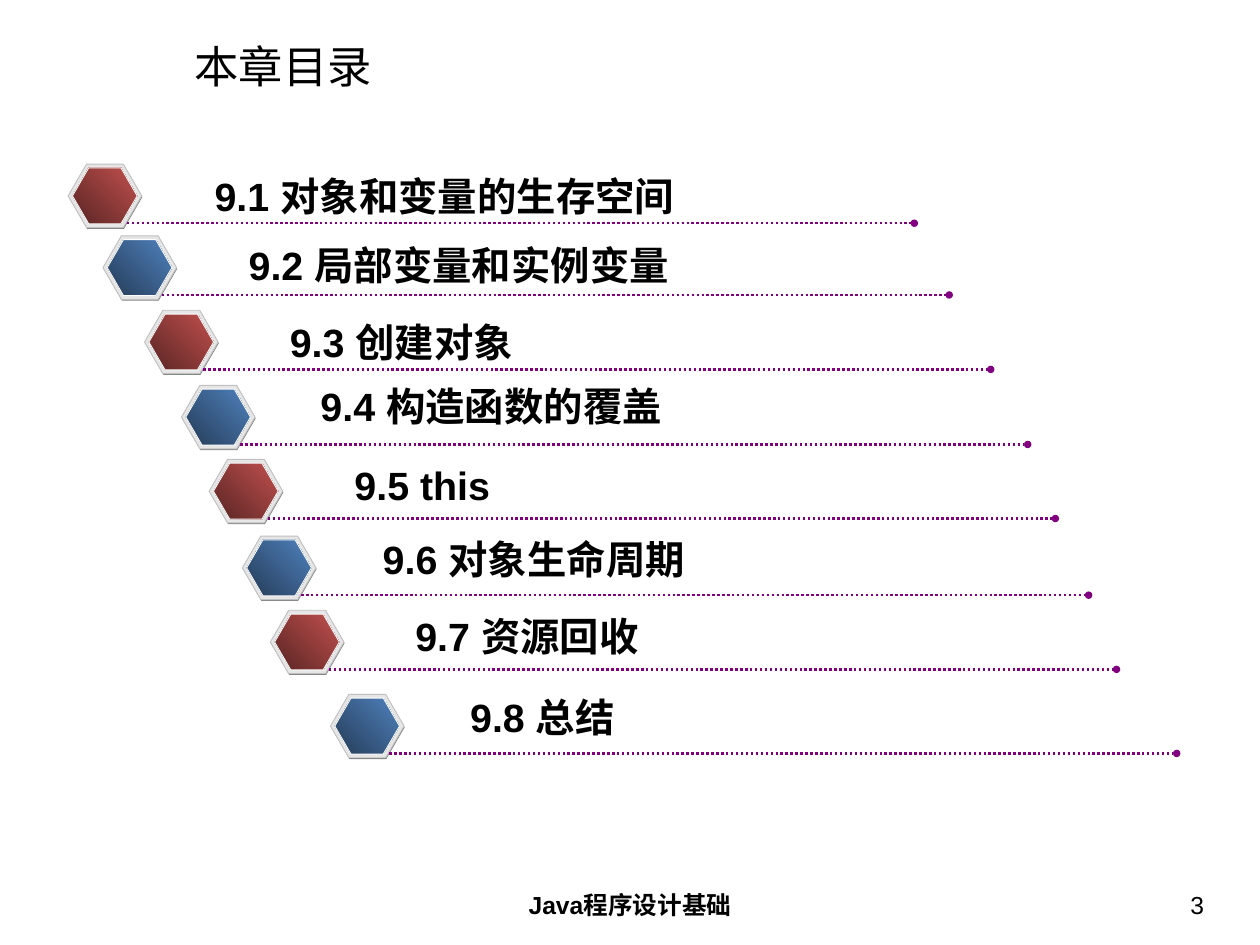
from dataclasses import dataclass
from itertools import cycle

from lxml.etree import SubElement
from pptx import Presentation
from pptx.dml.color import RGBColor
from pptx.enum.dml import MSO_LINE
from pptx.enum.shapes import MSO_CONNECTOR, MSO_SHAPE
from pptx.enum.text import MSO_ANCHOR, MSO_AUTO_SIZE, PP_ALIGN
from pptx.oxml.ns import qn
from pptx.util import Pt


@dataclass(frozen=True)
class Theme:
    """Colours and type sizes of the slide."""
    font: str = "Arial"
    ink: str = "000000"
    shade: str = "808080"
    rim: str = "E6E6E6"
    edge: str = "C0C0C0"
    white: str = "FFFFFF"
    rule: str = "800080"
    red: tuple = ("592524", "C0504D")
    blue: tuple = ("253C57", "4F81BD")
    title: int = 36
    label: int = 32
    foot: int = 20


THEME = Theme()

TOPICS = [
    ("9.1 对象和变量的生存空间", (55.4, 133.4), (167.3, 136), 400),
    ("9.2 局部变量和实例变量", (83.7, 191.7), (195, 192.7), 368),
    ("9.3 创建对象", (117.5, 252.2), (228.5, 255), 208),
    ("9.4 构造函数的覆盖", (147.5, 313.2), (253.4, 306.7), 304),
    ("9.5 this", (170, 373.4), (281, 370.8), 128),
    ("9.6 对象生命周期", (197, 435.7), (304, 431.3), 272),
    ("9.7 资源回收", (219.7, 496), (330.5, 494), 208),
    ("9.8 总结", (268.6, 564.3), (375, 559.4), 144),
]


def colour(code):
    """Turn a hex code into a colour."""
    return RGBColor.from_string(code)


def style(frame, text, size, bold=False, align=PP_ALIGN.LEFT):
    """Write one line of text and format it."""
    frame.text = text
    line = frame.paragraphs[0]
    line.alignment = align
    for run in line.runs:
        run.font.name = THEME.font
        run.font.size = Pt(size)
        run.font.bold = bold
        run.font.color.rgb = colour(THEME.ink)


def inset(frame, side, top):
    """Set the inner margins of a text frame."""
    frame.margin_left = frame.margin_right = Pt(side)
    frame.margin_top = frame.margin_bottom = Pt(top)


def add_title(slide, text):
    """Place and format the title."""
    title = slide.shapes.title
    title.left, title.top = Pt(148), Pt(33)
    title.width, title.height = Pt(851.8), Pt(41)
    frame = title.text_frame
    frame.auto_size = MSO_AUTO_SIZE.NONE
    frame.vertical_anchor = MSO_ANCHOR.MIDDLE
    inset(frame, 10, 5)
    style(frame, text, THEME.title)


def add_foot(slide, text, left, width, bold, align):
    """Add a text box at the foot of the slide."""
    box = slide.shapes.add_textbox(Pt(left), Pt(718), Pt(width), Pt(39.6))
    box.text_frame.word_wrap = True
    inset(box.text_frame, 10, 5)
    style(box.text_frame, text, THEME.foot, bold, align)


def add_hex(group, left, top, width, height):
    """Add a plain hexagon to a group."""
    shape = group.shapes.add_shape(
        MSO_SHAPE.HEXAGON, Pt(left), Pt(top), Pt(width), Pt(height))
    shape.adjustments[0] = 0.29
    shape.shadow.inherit = False
    return shape


def paint(shape, fill, edge=None):
    """Give a shape a solid fill and a thin edge or none."""
    shape.fill.solid()
    shape.fill.fore_color.rgb = colour(fill)
    outline(shape, edge)


def blend(shape, shades, edge):
    """Give a shape a slanted gradient and a thin edge."""
    shape.fill.gradient()
    shape.fill.gradient_angle = 45
    for stop, code in zip(shape.fill.gradient_stops, shades):
        stop.color.rgb = colour(code)
    outline(shape, edge)


def outline(shape, edge):
    """Draw a thin edge, or clear it."""
    if edge:
        shape.line.color.rgb = colour(edge)
        shape.line.width = Pt(0.75)
    else:
        shape.line.fill.background()


def add_badge(group, left, top, shades):
    """Add the layered hexagon badge."""
    paint(add_hex(group, left + 0.5, top + 1, 59.8, 51.6), THEME.shade)
    paint(add_hex(group, left, top, 59.8, 51.6), THEME.rim, THEME.edge)
    blend(add_hex(group, left + 3.5, top + 3.1, 52.6, 45.4),
          shades, THEME.white)


def add_rule(group, left, top):
    """Add the dotted line with a round end."""
    rule = group.shapes.add_connector(
        MSO_CONNECTOR.STRAIGHT, Pt(left), Pt(top), Pt(left + 640), Pt(top))
    rule.line.color.rgb = colour(THEME.rule)
    rule.line.width = Pt(2)
    rule.line.dash_style = MSO_LINE.ROUND_DOT
    props = rule.element.spPr
    SubElement(props.find(qn("a:ln")), qn("a:tailEnd"), type="oval")
    SubElement(props, qn("a:effectLst"))


def add_label(group, text, left, top, width):
    """Add the topic text."""
    box = group.shapes.add_textbox(Pt(left), Pt(top), Pt(width), Pt(46))
    frame = box.text_frame
    frame.word_wrap = False
    frame.auto_size = MSO_AUTO_SIZE.SHAPE_TO_FIT_TEXT
    style(frame, text, THEME.label, True)


def add_topic(slide, text, spot, start, width, shades):
    """Add one topic as a group of badge, rule and label."""
    group = slide.shapes.add_group_shape()
    left, top = spot
    add_badge(group, left, top, shades)
    add_rule(group, left + 47.7, top + 48)
    add_label(group, text, *start, width)


def main():
    """Build and save the slide."""
    deck = Presentation()
    deck.slide_width, deck.slide_height = Pt(1024), Pt(768)
    slide = deck.slides.add_slide(deck.slide_layouts[5])
    add_title(slide, "本章目录")
    add_foot(slide, "Java程序设计基础", 350, 324, True, PP_ALIGN.CENTER)
    add_foot(slide, "3", 749.5, 239, False, PP_ALIGN.RIGHT)
    for topic, shades in zip(TOPICS, cycle((THEME.red, THEME.blue))):
        add_topic(slide, *topic, shades)
    deck.save("out.pptx")


if __name__ == "__main__":
    main()
